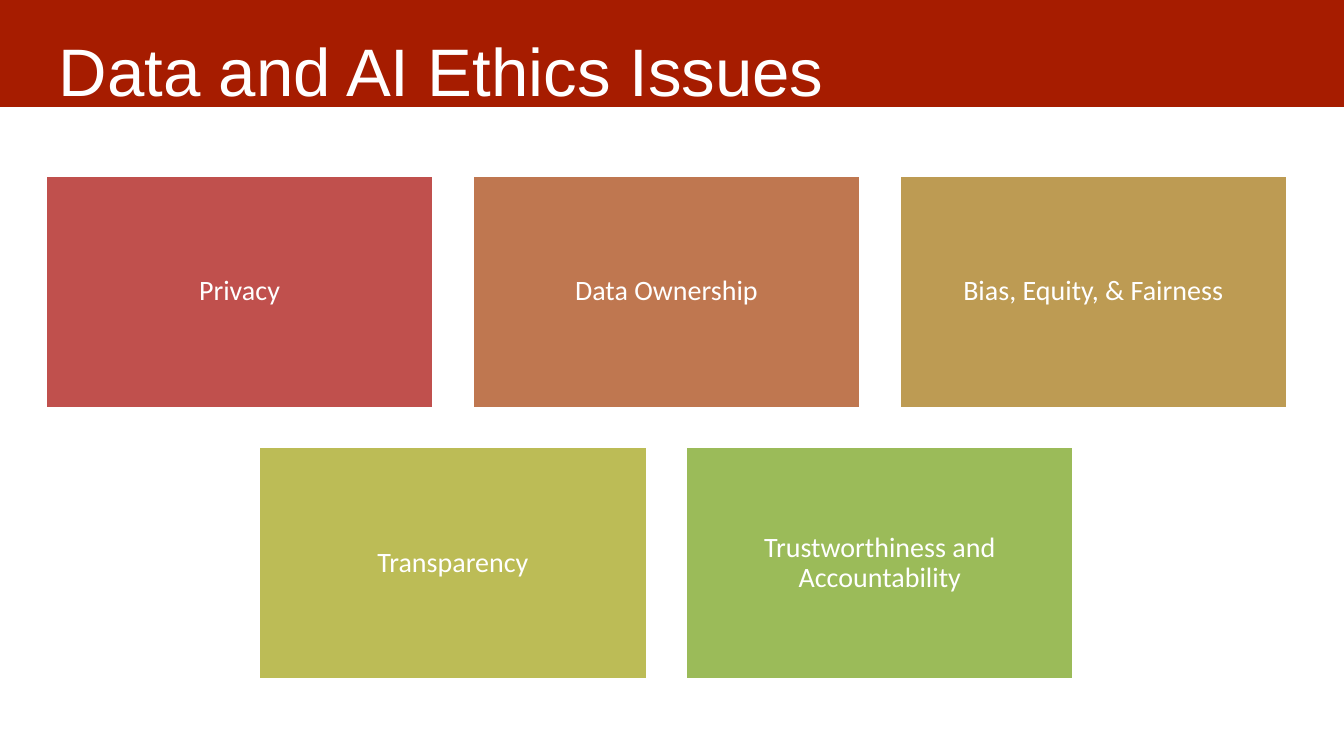
from pptx import Presentation
from pptx.dml.color import RGBColor
from pptx.enum.shapes import MSO_SHAPE
from pptx.enum.text import MSO_ANCHOR, PP_ALIGN
from pptx.util import Pt

RECTANGLE = MSO_SHAPE.RECTANGLE
TOP, MIDDLE = MSO_ANCHOR.TOP, MSO_ANCHOR.MIDDLE
LEFT, CENTER = PP_ALIGN.LEFT, PP_ALIGN.CENTER

WHITE = RGBColor(0xFF, 0xFF, 0xFF)
BANNER_RED = RGBColor(0xA6, 0x1C, 0x00)
RED = RGBColor(0xC0, 0x50, 0x4D)
ORANGE = RGBColor(0xBF, 0x77, 0x50)
GOLD = RGBColor(0xBD, 0x9B, 0x53)
OLIVE = RGBColor(0xBC, 0xBC, 0x56)
GREEN = RGBColor(0x9B, 0xBB, 0x59)

ISSUE_ROWS = [
    [("Privacy", RED), ("Data Ownership", ORANGE), ("Bias, Equity, & Fairness", GOLD)],
    [("Transparency", OLIVE), ("Trustworthiness and Accountability", GREEN)],
]
TILE_WIDTH, TILE_HEIGHT = 277.2, 166.3
GAP = 27.7
GRID_CENTER, GRID_TOP = 476, 125.3


def write_text(shape, text, font, size, align, anchor, insets,
               line_spacing=1.0, space_after=0):
    """Fill the shape with one white paragraph; insets are left, top, right, bottom."""
    frame = shape.text_frame
    frame.word_wrap = True
    frame.vertical_anchor = anchor
    (frame.margin_left, frame.margin_top,
     frame.margin_right, frame.margin_bottom) = [Pt(inset) for inset in insets]
    paragraph = frame.paragraphs[0]
    paragraph.alignment = align
    paragraph.line_spacing = line_spacing
    paragraph.space_after = Pt(space_after)
    run = paragraph.add_run()
    run.text = text
    run.font.name = font
    run.font.size = Pt(size)
    run.font.color.rgb = WHITE


def add_block(left, top, width, height, color):
    block = slide.shapes.add_shape(RECTANGLE, Pt(left), Pt(top), Pt(width), Pt(height))
    block.shadow.inherit = False
    block.fill.solid()
    block.fill.fore_color.rgb = color
    return block


presentation = Presentation()
presentation.slide_width = Pt(960)
presentation.slide_height = Pt(540)
slide = presentation.slides.add_slide(presentation.slide_layouts[6])

banner = add_block(-1.5, -2.9, 962, 79.2, BANNER_RED)
banner.line.fill.background()

title = slide.shapes.add_textbox(Pt(32.4), Pt(6.5), Pt(894.2), Pt(70))
write_text(title, "Data and AI Ethics Issues", font="Arial", size=48,
           align=LEFT, anchor=TOP, insets=(9.4, 14.4, 9.4, 0))

for row, issues in enumerate(ISSUE_ROWS):
    row_width = len(issues) * (TILE_WIDTH + GAP) - GAP
    row_left = GRID_CENTER - row_width / 2
    row_top = GRID_TOP + row * (TILE_HEIGHT + GAP)
    for column, (issue, color) in enumerate(issues):
        tile = add_block(row_left + column * (TILE_WIDTH + GAP), row_top,
                         TILE_WIDTH, TILE_HEIGHT, color)
        tile.line.color.rgb = WHITE
        tile.line.width = Pt(2)
        write_text(tile, issue, font="Calibri", size=20, align=CENTER, anchor=MIDDLE,
                   insets=(6, 6, 6, 6), line_spacing=0.9, space_after=7)

presentation.save("out.pptx")
